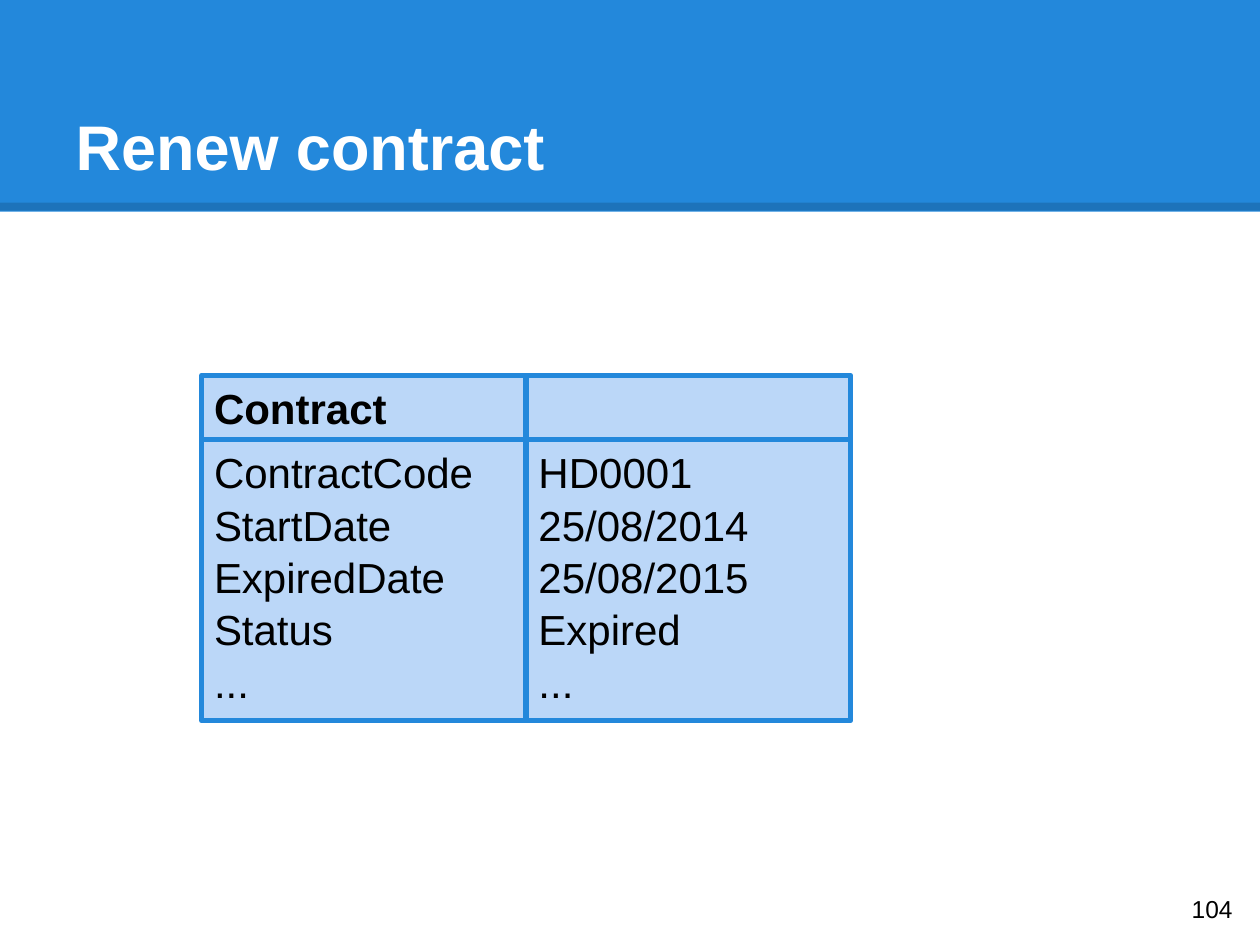
from dataclasses import dataclass

from lxml.etree import SubElement
from pptx import Presentation
from pptx.dml.color import RGBColor
from pptx.enum.shapes import MSO_CONNECTOR, MSO_SHAPE
from pptx.enum.text import MSO_ANCHOR, PP_ALIGN
from pptx.oxml.ns import qn
from pptx.util import Inches, Pt

HUES = {"blue": "2388DB", "pale": "BBD7F8", "ink": "000000", "white": "FFFFFF"}
WIDE, HIGH = 10, 7.5
BAND = 1.68  # height of the title band
RULE = 1.64  # height of the dark line along the band's foot
LEFT, COL = 1.6, 2.575  # first column and column step
HEAD, BODY = 2.98, 3.43  # tops of the two table rows
HEAD_H, BODY_H = 0.51, 2.29


@dataclass
class Column:
    title: str
    rows: list[str]


COLS = [
    Column("Contract", ["ContractCode", "StartDate", "ExpiredDate", "Status", "..."]),
    Column("", ["HD0001", "25/08/2014", "25/08/2015", "Expired", "..."]),
]


def hue(name: str) -> RGBColor:
    return RGBColor.from_string(HUES[name])


def write(shape, text: str, size: float, color: str = "ink", bold: bool = False,
          anchor=MSO_ANCHOR.TOP, pitch: float = 1.0) -> None:
    frame = shape.text_frame
    frame.word_wrap = True
    frame.vertical_anchor = anchor
    frame.margin_left = frame.margin_right = Inches(0.1)
    frame.margin_top = frame.margin_bottom = Inches(0.1)
    frame.text = text
    for para in frame.paragraphs:
        para.alignment = PP_ALIGN.LEFT
        para.line_spacing = pitch
        for run in para.runs:
            font = run.font
            font.name, font.size, font.bold = "Arial", Pt(size), bold
            font.color.rgb = hue(color)


def box(shapes, x: float, y: float, w: float, h: float, fill: str, edge: str = ""):
    shape = shapes.add_shape(MSO_SHAPE.RECTANGLE, *map(Inches, (x, y, w, h)))
    shape.shadow.inherit = False
    shape.fill.solid()
    shape.fill.fore_color.rgb = hue(fill)
    if edge:
        shape.line.color.rgb = hue(edge)
        shape.line.width = Pt(3)
    else:
        shape.line.fill.background()
    return shape


def rule(shapes, y: float) -> None:
    """Draw a faint black line across the whole slide."""
    line = shapes.add_connector(
        MSO_CONNECTOR.STRAIGHT, 0, Inches(y), Inches(WIDE), Inches(y))
    line.line.width = Pt(4.5)
    line.line.color.rgb = hue("ink")
    props = line._element.spPr
    tint = next(props.iter(qn("a:srgbClr")))
    SubElement(tint, qn("a:alpha"), val="15000")
    SubElement(props, qn("a:effectLst"))


def column(shapes, x: float, col: Column) -> None:
    group = shapes.add_group_shape().shapes
    body = box(group, x, BODY, COL, BODY_H, "pale", "blue")
    write(body, "\n".join(col.rows), 24, pitch=1.04)
    head = box(group, x, HEAD, COL, HEAD_H, "pale", "blue")
    if col.title:
        write(head, col.title, 24, bold=True, anchor=MSO_ANCHOR.MIDDLE)


def main() -> None:
    deck = Presentation()
    deck.slide_width, deck.slide_height = Inches(WIDE), Inches(HIGH)
    slide = deck.slides.add_slide(deck.slide_layouts[5])
    shapes = slide.shapes
    box(shapes, 0, 0, WIDE, BAND, "blue")
    rule(shapes, RULE)

    title = shapes.title
    shapes._spTree.append(title._element)  # bring in front of the band
    title.left, title.top = Inches(0.05 * WIDE), Inches(0.04 * HIGH)
    title.width, title.height = Inches(0.9 * WIDE), Inches(1.25)
    write(title, "Renew contract", 36, "white", True, MSO_ANCHOR.BOTTOM)

    for i, col in enumerate(COLS):
        column(shapes, LEFT + i * COL, col)

    page = shapes.add_textbox(*map(Inches, (9.36, 6.93, 0.6, 0.57)))
    write(page, "104", 14, anchor=MSO_ANCHOR.MIDDLE)
    deck.save("out.pptx")


if __name__ == "__main__":
    main()
